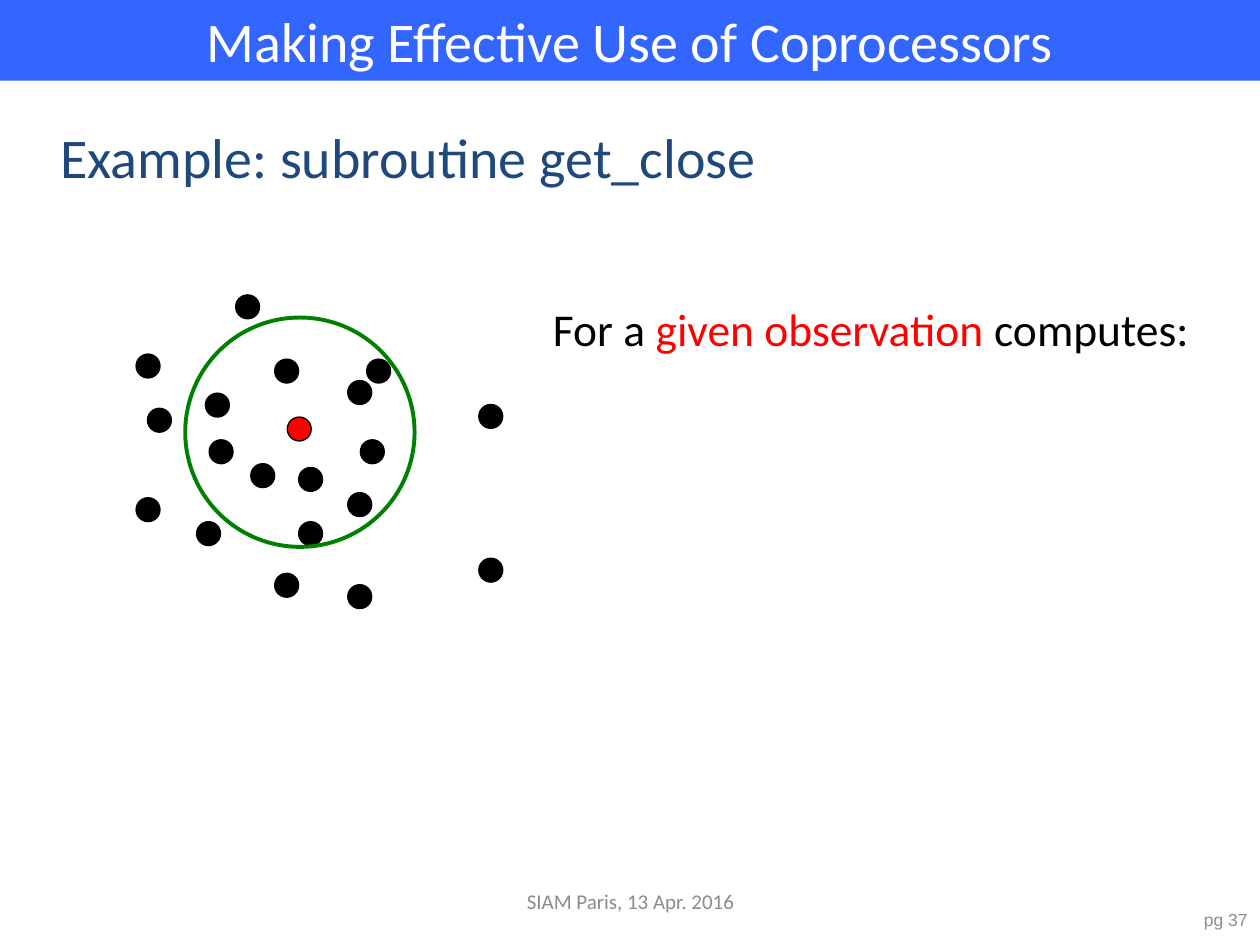
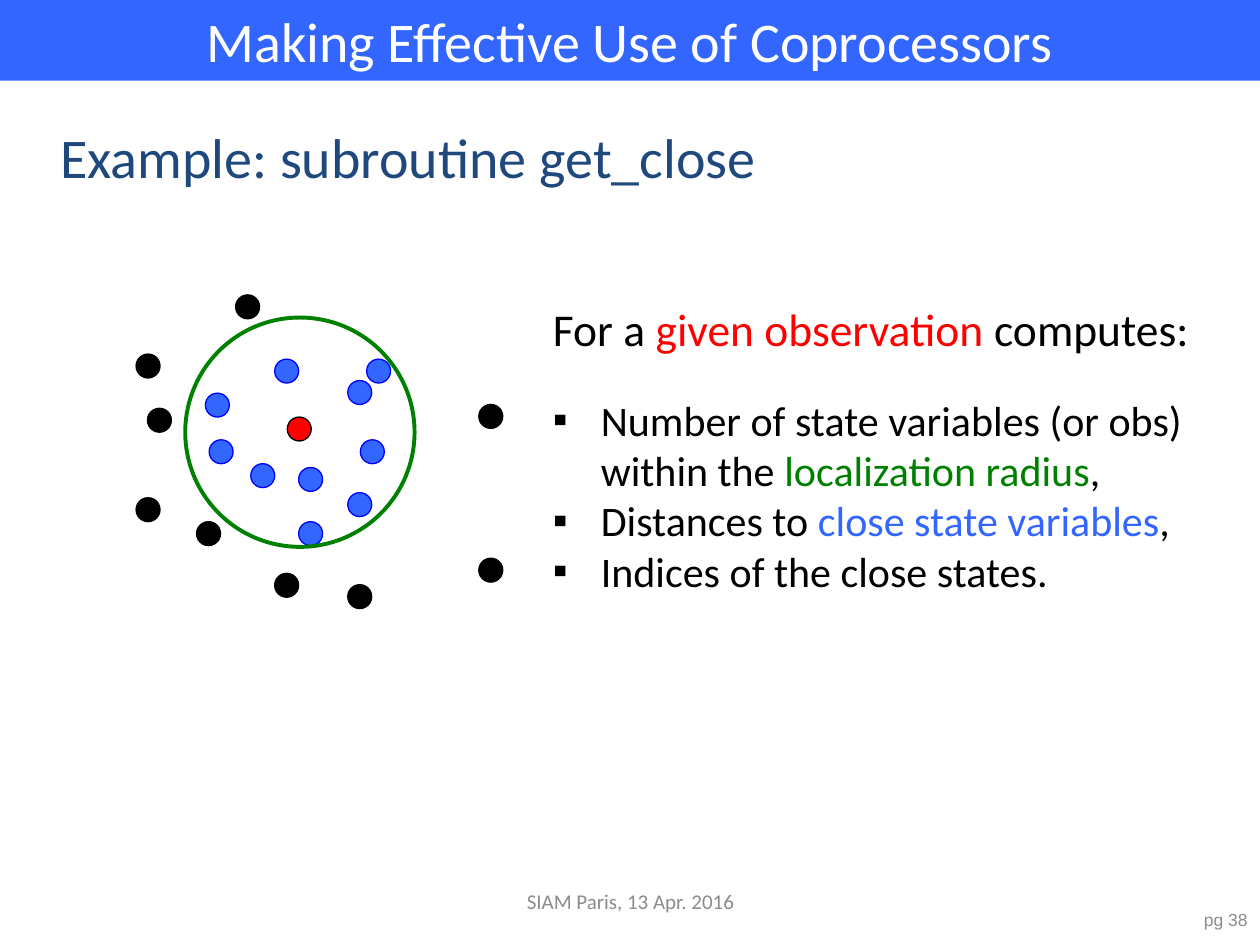
from math import hypot

from lxml import etree
from pptx import Presentation
from pptx.dml.color import RGBColor
from pptx.enum.shapes import MSO_SHAPE
from pptx.enum.text import MSO_ANCHOR, PP_ALIGN
from pptx.oxml.ns import qn
from pptx.util import Pt

PX = 9144  # 100 px to the inch
LEFT, CENTER, RIGHT = PP_ALIGN.LEFT, PP_ALIGN.CENTER, PP_ALIGN.RIGHT
MIDDLE = MSO_ANCHOR.MIDDLE
OVAL, RECTANGLE = MSO_SHAPE.OVAL, MSO_SHAPE.RECTANGLE

WHITE = RGBColor(0xFF, 0xFF, 0xFF)
BLACK = RGBColor(0x00, 0x00, 0x00)
RED = RGBColor(0xFF, 0x00, 0x00)
GREEN = RGBColor(0x00, 0x80, 0x00)
BLUE = RGBColor(0x33, 0x66, 0xFF)
DARK_BLUE = RGBColor(0x00, 0x00, 0xFF)
NAVY = RGBColor(0x1F, 0x49, 0x7D)
GRAY = RGBColor(0x8C, 0x8C, 0x8C)

DOT_SIZE = 19
OBSERVATION = (228, 331)
STATES = [
    (117, 324), (108, 395), (166, 349), (218, 285), (156, 414),
    (199, 368), (276, 391), (286, 349), (276, 302), (237, 371),
    (218, 455), (237, 414), (187, 234), (108, 281), (276, 464),
    (291, 285), (380, 321), (380, 443), (163, 312),
]
RADIUS = 91
RADIUS_CENTER = (238, 343)

INTRODUCTION = [("For a ", BLACK), ("given observation ", RED), ("computes:", BLACK)]
RESULTS = [
    [("Number of state variables (or obs) within the ", BLACK),
     ("localization radius", GREEN), (",", BLACK)],
    [("Distances to ", BLACK), ("close state variables", BLUE), (",", BLACK)],
    [("Indices of the close states.", BLACK)],
]
BULLET_INDENT = 38

# page number, box height, whether the close states are marked and listed
PAGES = [(37, 175, False), (38, 337, True)]


def add_shape(slide, kind, left, top, width, height, fill=None, line=None, line_width=0.75):
    shape = slide.shapes.add_shape(kind, left * PX, top * PX, width * PX, height * PX)
    shape.shadow.inherit = False
    if fill is None:
        shape.fill.background()
    else:
        shape.fill.solid()
        shape.fill.fore_color.rgb = fill
    if line is None:
        shape.line.fill.background()
    else:
        shape.line.color.rgb = line
        shape.line.width = Pt(line_width)
    return shape


def write_runs(paragraph, runs, size, font="Calibri", alignment=LEFT):
    """Fill a paragraph with (text, colour) runs of one size and font."""
    paragraph.alignment = alignment
    for text, color in runs:
        run = paragraph.add_run()
        run.text = text
        run.font.size = Pt(size)
        run.font.name = font
        run.font.color.rgb = color


presentation = Presentation()
presentation.slide_width = 1000 * PX
presentation.slide_height = 750 * PX
blank_layout = presentation.slide_layouts[6]

for page_number, box_height, show_close in PAGES:
    slide = presentation.slides.add_slide(blank_layout)

    # Band, title and footers
    band = add_shape(slide, RECTANGLE, 0, 0, 1000, 64, fill=BLUE)
    band.text_frame.vertical_anchor = MIDDLE
    write_runs(band.text_frame.paragraphs[0],
               [("Making Effective Use of Coprocessors", WHITE)], 32, alignment=CENTER)
    for text, left, top, width, height, size, font, color, alignment in [
        ("Example: subroutine get_close", 38, 75, 876, 98, 32, "Calibri", NAVY, LEFT),
        ("SIAM Paris, 13 Apr. 2016", 342, 695, 317, 40, 12, "Calibri", GRAY, CENTER),
        (f"pg {page_number}", 900, 710, 100, 40, 10, "Arial", GRAY, RIGHT),
    ]:
        label = slide.shapes.add_textbox(left * PX, top * PX, width * PX, height * PX)
        label.text_frame.word_wrap = True
        label.text_frame.vertical_anchor = MIDDLE
        write_runs(label.text_frame.paragraphs[0], [(text, color)], size, font, alignment)

    # Observation, state variables and localization radius
    center_x, center_y = RADIUS_CENTER
    for left, top in STATES:
        distance = hypot(left + DOT_SIZE / 2 - center_x, top + DOT_SIZE / 2 - center_y)
        is_marked = show_close and distance < RADIUS
        fill, line = (BLUE, DARK_BLUE) if is_marked else (BLACK, BLACK)
        add_shape(slide, OVAL, left, top, DOT_SIZE, DOT_SIZE, fill, line)
    add_shape(slide, OVAL, *OBSERVATION, DOT_SIZE, DOT_SIZE, RED, BLACK)
    add_shape(slide, OVAL, center_x - RADIUS, center_y - RADIUS, 2 * RADIUS, 2 * RADIUS,
              line=GREEN, line_width=2.25)

    # Explanation
    explanation = slide.shapes.add_textbox(429 * PX, 234 * PX, 529 * PX, box_height * PX)
    text_frame = explanation.text_frame
    text_frame.word_wrap = True
    write_runs(text_frame.paragraphs[0], INTRODUCTION, 26)
    if show_close:
        for index, runs in enumerate(RESULTS):
            paragraph = text_frame.add_paragraph()
            paragraph.space_before = Pt(22 if index == 0 else 0)
            properties = paragraph._p.get_or_add_pPr()
            properties.set("marL", str(BULLET_INDENT * PX))
            properties.set("indent", str(-BULLET_INDENT * PX))
            etree.SubElement(properties, qn("a:buFont")).set("typeface", "Arial")
            etree.SubElement(properties, qn("a:buChar")).set("char", "▪")
            write_runs(paragraph, runs, 24)

presentation.save("out.pptx")
